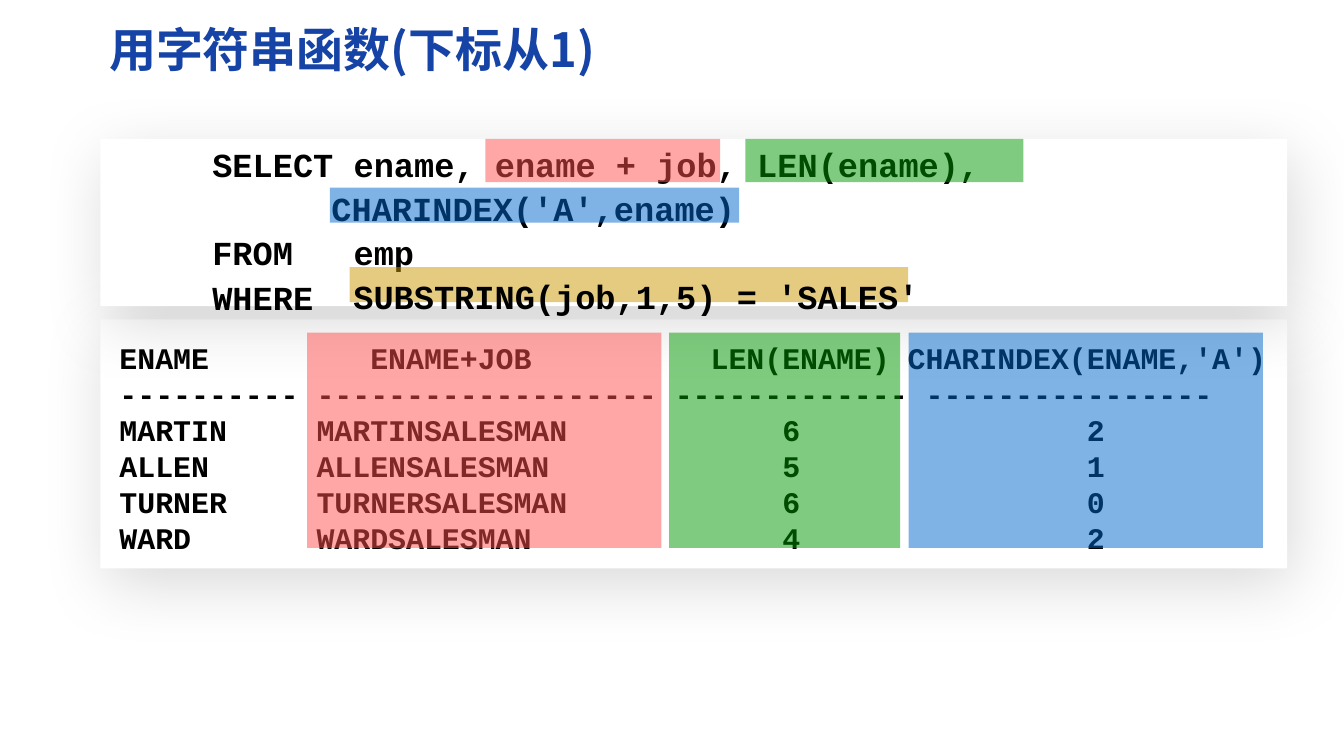
from lxml import etree
from pptx import Presentation
from pptx.dml.color import RGBColor
from pptx.enum.shapes import MSO_SHAPE
from pptx.enum.text import MSO_ANCHOR, PP_ALIGN
from pptx.oxml.ns import qn
from pptx.util import Cm, Pt

RECT = MSO_SHAPE.RECTANGLE
MIDDLE, TOP = MSO_ANCHOR.MIDDLE, MSO_ANCHOR.TOP
LEFT = PP_ALIGN.LEFT

COLORS = {
    "title": "1543A6",
    "ink": "000000",
    "panel": "FFFFFF",
    "concat": "FF5050",
    "length": "009900",
    "position": "0066CC",
    "substring": "CC9900",
}


class SlideBuilder:
    title_font = "Noto Sans CJK SC"
    code_font = "Courier New"

    def __init__(self, slide):
        self.slide = slide

    def add_run(self, paragraph, text, font, size, color):
        run = paragraph.add_run()
        run.text = text
        run.font.name = font
        run.font.size = Pt(size)
        run.font.bold = True
        run.font.color.rgb = RGBColor.from_string(COLORS[color])
        return run

    def title(self, text, left, top, width, height):
        title = self.slide.shapes.title
        title.left, title.top = Cm(left), Cm(top)
        title.width, title.height = Cm(width), Cm(height)
        frame = title.text_frame
        frame.vertical_anchor = MIDDLE
        frame.margin_left = frame.margin_right = Cm(0.28)
        frame.margin_top = frame.margin_bottom = Cm(0.15)
        paragraph = frame.paragraphs[0]
        paragraph.alignment = LEFT
        run = self.add_run(paragraph, text, self.title_font, 28, "title")
        east_asian = etree.SubElement(run.font._element, qn("a:ea"))
        east_asian.set("typeface", self.title_font)

    def rectangle(self, color, left, top, width, height):
        shape = self.slide.shapes.add_shape(
            RECT, Cm(left), Cm(top), Cm(width), Cm(height))
        shape.shadow.inherit = False
        shape.fill.solid()
        shape.fill.fore_color.rgb = RGBColor.from_string(COLORS[color])
        shape.line.fill.background()
        return shape

    def panel(self, left, top, width, height):
        panel = self.rectangle("panel", left, top, width, height)
        effects = panel._element.spPr.find(qn("a:effectLst"))
        shadow = etree.SubElement(
            effects, qn("a:outerShdw"), blurRad=str(Pt(40)),
            dist=str(Pt(10)), dir=str(70 * 60000), rotWithShape="0")
        tint = etree.SubElement(shadow, qn("a:srgbClr"), val=COLORS["ink"])
        etree.SubElement(tint, qn("a:alpha"), val="15000")

    def highlight(self, color, left, top, width, height):
        band = self.rectangle(color, left, top, width, height)
        tint = band._element.spPr.find(qn("a:solidFill"))[0]
        etree.SubElement(tint, qn("a:alpha"), val="50000")

    def code(self, lines, left, top, width, height, size, pitch, tab=None):
        box = self.slide.shapes.add_textbox(
            Cm(left), Cm(top), Cm(width), Cm(height))
        frame = box.text_frame
        frame.word_wrap = False
        frame.vertical_anchor = TOP
        frame.margin_left = frame.margin_right = 0
        frame.margin_top = frame.margin_bottom = 0
        for index, line in enumerate(lines):
            paragraph = frame.add_paragraph() if index else frame.paragraphs[0]
            if tab and "\t" in line:
                properties = paragraph._p.get_or_add_pPr()
                stops = etree.SubElement(properties, qn("a:tabLst"))
                etree.SubElement(stops, qn("a:tab"), pos=str(Cm(tab)), algn="l")
            paragraph.alignment = LEFT
            paragraph.line_spacing = Pt(pitch)
            self.add_run(paragraph, line, self.code_font, size, "ink")


def main():
    prs = Presentation()
    prs.slide_width, prs.slide_height = Cm(28.22), Cm(15.88)
    builder = SlideBuilder(prs.slides.add_slide(prs.slide_layouts[5]))

    builder.title("用字符串函数(下标从1)", 2.01, 0.3, 24.92, 1.45)

    # Query result
    builder.panel(2.11, 6.71, 24.92, 5.23)
    result = [
        "ENAME         ENAME+JOB          LEN(ENAME) CHARINDEX(ENAME,'A')",
        "---------- ------------------- ------------- ----------------",
        "MARTIN     MARTINSALESMAN            6                2",
        "ALLEN      ALLENSALESMAN             5                1",
        "TURNER     TURNERSALESMAN            6                0",
        "WARD       WARDSALESMAN              4                2",
    ]
    builder.code(result, 2.51, 7.14, 24.5, 4.54, 17.8, 21.4)

    # Query
    builder.panel(2.11, 2.92, 24.92, 3.51)
    query = [
        "     SELECT ename, ename + job, LEN(ename),",
        " \tCHARINDEX('A',ename)",
        "     FROM   emp",
        "     WHERE",
    ]
    builder.code(query, 2.34, 2.93, 22, 3.72, 20, 26.4, tab=4.62)

    # Expressions marked in the query
    for color, left, top, width, height in (
            ("concat", 10.19, 2.92, 4.93, 0.91),
            ("length", 15.65, 2.92, 5.84, 0.91),
            ("position", 6.93, 3.94, 8.59, 0.74),
            ("substring", 7.34, 5.61, 11.73, 0.74)):
        builder.highlight(color, left, top, width, height)

    # Matching columns of the result
    for color, left, width in (
            ("concat", 6.45, 7.44),
            ("length", 14.05, 4.85),
            ("position", 19.08, 7.44)):
        builder.highlight(color, left, 6.99, width, 4.52)

    # Condition in front of its mark
    condition = ["SUBSTRING(job,1,5) = 'SALES'"]
    builder.code(condition, 7.42, 5.72, 12, 0.93, 20, 26.4)

    prs.save("out.pptx")


if __name__ == "__main__":
    main()
